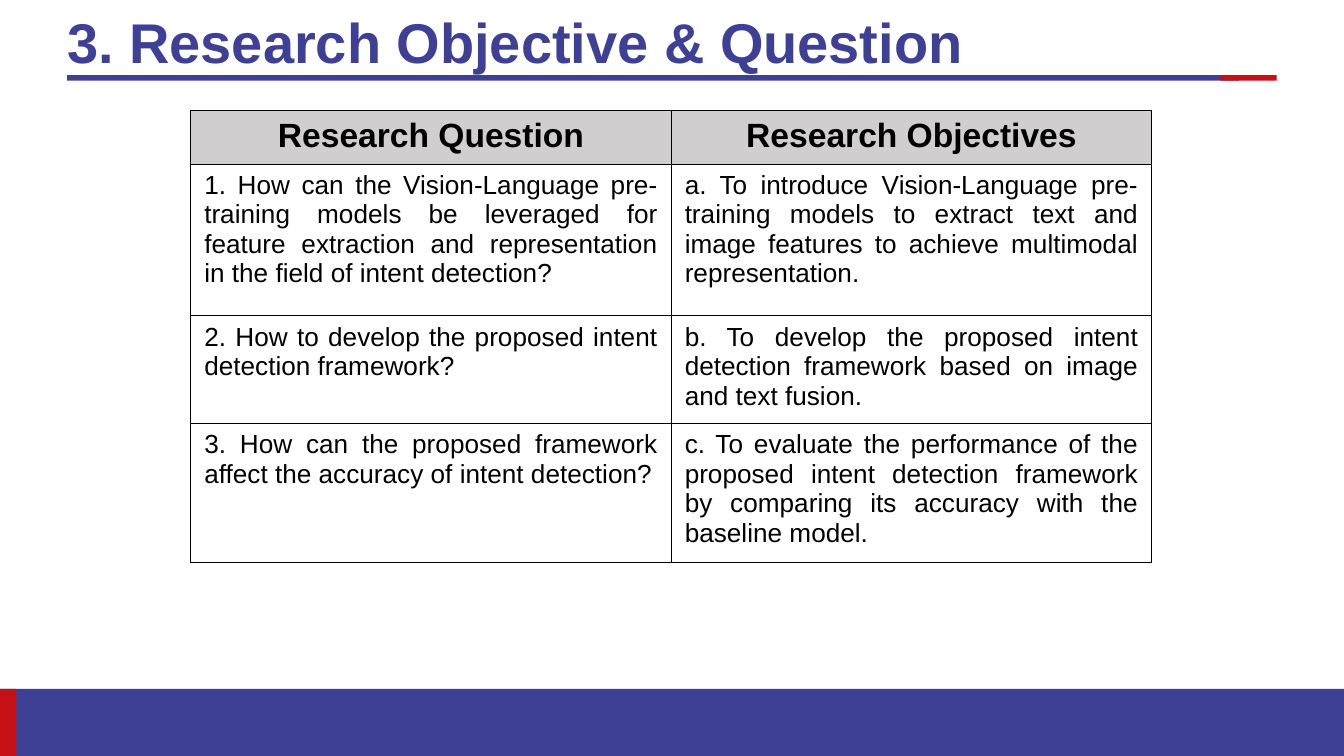
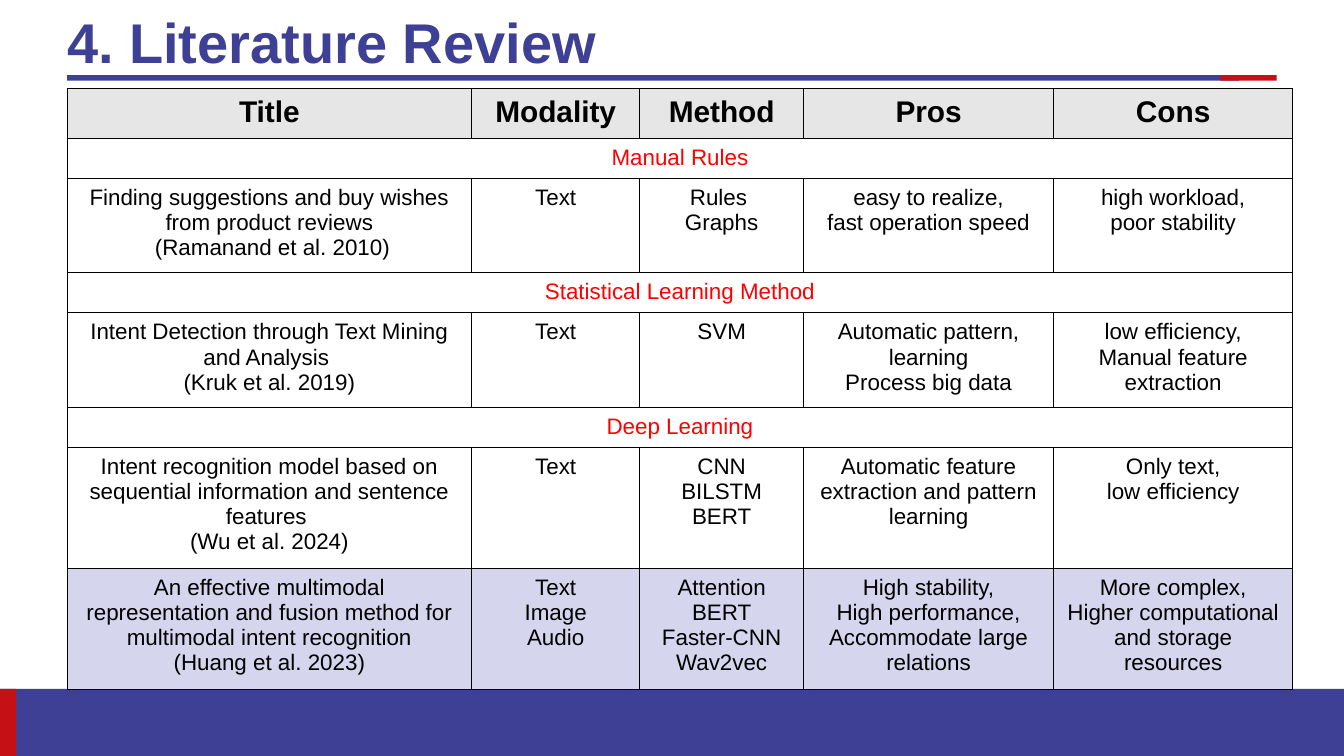
import dataclasses

import pptx
import pptx.dml.color
import pptx.enum.shapes
import pptx.enum.text
import pptx.oxml
import pptx.oxml.ns
import pptx.util

Inches = pptx.util.Inches
Align = pptx.enum.text.PP_ALIGN


@dataclasses.dataclass(frozen=True)
class Theme:
    font: str = "Arial"
    blue: str = "3E4095"
    red: str = "C51116"
    black: str = "000000"
    section_red: str = "FF0000"
    question_header: str = "D0CECE"
    review_header: str = "E7E6E6"
    highlight: str = "D5D5ED"
    title_size: int = 30
    question_header_size: int = 18
    question_size: int = 14
    review_header_size: int = 16
    review_size: int = 12
    border_width: float = 0.5


THEME = Theme()
SLIDE_WIDTH = 10
SLIDE_HEIGHT = SLIDE_WIDTH * 9 / 16

QUESTIONS = [
    ("1. How can the Vision-Language pre-training models be leveraged for feature extraction "
     "and representation in the field of intent detection?",
     "a. To introduce Vision-Language pre-training models to extract text and image features "
     "to achieve multimodal representation."),
    ("2. How to develop the proposed intent detection framework?",
     "b. To develop the proposed intent detection framework based on image and text fusion."),
    ("3. How can the proposed framework affect the accuracy of intent detection?",
     "c. To evaluate the performance of the proposed intent detection framework by comparing "
     "its accuracy with the baseline model."),
]

REVIEW = [
    ("Manual Rules",),
    ("Finding suggestions and buy wishes from product reviews\n (Ramanand et al. 2010)",
     "Text", "Rules \nGraphs", "easy to realize,\nfast operation speed",
     "high workload,\npoor stability"),
    ("Statistical Learning Method",),
    ("Intent Detection through Text Mining and Analysis \n(Kruk et al. 2019)",
     "Text", "SVM", "Automatic pattern, learning\nProcess big data",
     "low efficiency,\nManual feature extraction"),
    ("Deep Learning",),
    ("Intent recognition model based on sequential information and sentence features \n"
     "(Wu et al. 2024)",
     "Text", "CNN\nBILSTM\nBERT", "Automatic feature extraction and pattern learning",
     "Only text,\nlow efficiency"),
    ("An effective multimodal representation and fusion method for multimodal intent "
     "recognition\n(Huang et al. 2023)",
     "Text\nImage\nAudio", "Attention\nBERT\nFaster-CNN\nWav2vec",
     "High stability,\nHigh performance,\nAccommodate large relations",
     "More complex,\nHigher computational and storage resources"),
]


def rgb(color):
    return pptx.dml.color.RGBColor.from_string(color)


def format_text(text_frame, size, color, bold=False, alignment=Align.LEFT):
    for paragraph in text_frame.paragraphs:
        paragraph.alignment = alignment
        for run in paragraph.runs:
            run.font.name = THEME.font
            run.font.size = pptx.util.Pt(size)
            run.font.bold = bold
            run.font.color.rgb = rgb(color)


def add_band(slide, left, top, width, height, color):
    band = slide.shapes.add_shape(
        pptx.enum.shapes.MSO_SHAPE.RECTANGLE,
        Inches(left), Inches(top), Inches(width), Inches(height))
    band.shadow.inherit = False
    band.fill.solid()
    band.fill.fore_color.rgb = rgb(color)
    band.line.fill.background()


def add_title(slide, title):
    box = slide.shapes.add_textbox(Inches(0.5), Inches(0), Inches(9), Inches(0.67))
    frame = box.text_frame
    frame.word_wrap = True
    frame.vertical_anchor = pptx.enum.text.MSO_ANCHOR.MIDDLE
    frame.margin_left = frame.margin_right = frame.margin_top = frame.margin_bottom = 0
    frame.text = title
    frame.paragraphs[0].line_spacing = 0.9
    format_text(frame, THEME.title_size, THEME.blue, bold=True)


def add_titled_slide(presentation, title):
    slide = presentation.slides.add_slide(presentation.slide_layouts[6])
    footer_height = 0.5
    footer_top = SLIDE_HEIGHT - footer_height
    add_band(slide, 0.5, 0.56, 8.72, 0.04, THEME.blue)
    add_band(slide, 9.08, 0.56, 0.42, 0.04, THEME.red)
    add_band(slide, 0, footer_top, SLIDE_WIDTH, footer_height, THEME.blue)
    add_band(slide, 0, footer_top, 0.12, footer_height, THEME.red)
    add_title(slide, title)
    return slide


def set_borders(cell):
    properties = cell._tc.get_or_add_tcPr()
    width = pptx.util.Pt(THEME.border_width)
    for side in ("lnL", "lnR", "lnT", "lnB"):
        properties.append(pptx.oxml.parse_xml(
            f'<a:{side} {pptx.oxml.ns.nsdecls("a")} w="{width}"><a:solidFill>'
            f'<a:srgbClr val="{THEME.black}"/></a:solidFill></a:{side}>'))


def add_grid(slide, left, top, height, widths, row_heights):
    frame = slide.shapes.add_table(
        len(row_heights), len(widths), Inches(left), Inches(top),
        Inches(sum(widths)), Inches(height))
    table = frame.table
    table.first_row = False
    table.horz_banding = False
    for column, width in zip(table.columns, widths):
        column.width = Inches(width)
    for row, row_height in zip(table.rows, row_heights):
        row.height = Inches(row_height)
    frame.height = Inches(height)
    for cell in table.iter_cells():
        set_borders(cell)
        cell.fill.background()
    return table


def fill_row(table, row, texts, size, color=THEME.black, fill=None, bold=False,
             alignment=Align.CENTER):
    for column, text in enumerate(texts):
        cell = table.cell(row, column)
        cell.text_frame.text = text
        format_text(cell.text_frame, size, color, bold, alignment)
        if fill:
            cell.fill.solid()
            cell.fill.fore_color.rgb = rgb(fill)


def add_question_table(slide):
    table = add_grid(slide, 1.42, 0.82, 3.36, [7.15 / 2] * 2, [0.4, 1.13, 0.79, 1.03])
    fill_row(table, 0, ("Research Question", "Research Objectives"),
             THEME.question_header_size, fill=THEME.question_header, bold=True)
    for row, texts in enumerate(QUESTIONS, start=1):
        fill_row(table, row, texts, THEME.question_size, alignment=Align.JUSTIFY)


def add_review_table(slide):
    widths = [3.01, 1.25, 1.22, 1.86, 1.78]
    row_heights = [0.2, 0.19, 0.69, 0.3, 0.69, 0.3, 0.89, 0.89]
    table = add_grid(slide, 0.5, 0.66, 4.47, widths, row_heights)
    fill_row(table, 0, ("Title", "Modality", "Method", "Pros", "Cons"),
             THEME.review_header_size, fill=THEME.review_header, bold=True)
    for row, texts in enumerate(REVIEW, start=1):
        is_section = len(texts) == 1
        if is_section:
            table.cell(row, 0).merge(table.cell(row, len(widths) - 1))
        fill_row(table, row, texts, THEME.review_size,
                 color=THEME.section_red if is_section else THEME.black,
                 fill=THEME.highlight if row == len(REVIEW) else None)


def main():
    presentation = pptx.Presentation()
    presentation.slide_width = Inches(SLIDE_WIDTH)
    presentation.slide_height = Inches(SLIDE_HEIGHT)
    add_question_table(add_titled_slide(presentation, "3. Research Objective & Question"))
    add_review_table(add_titled_slide(presentation, "4. Literature Review"))
    presentation.save("out.pptx")


if __name__ == "__main__":
    main()
